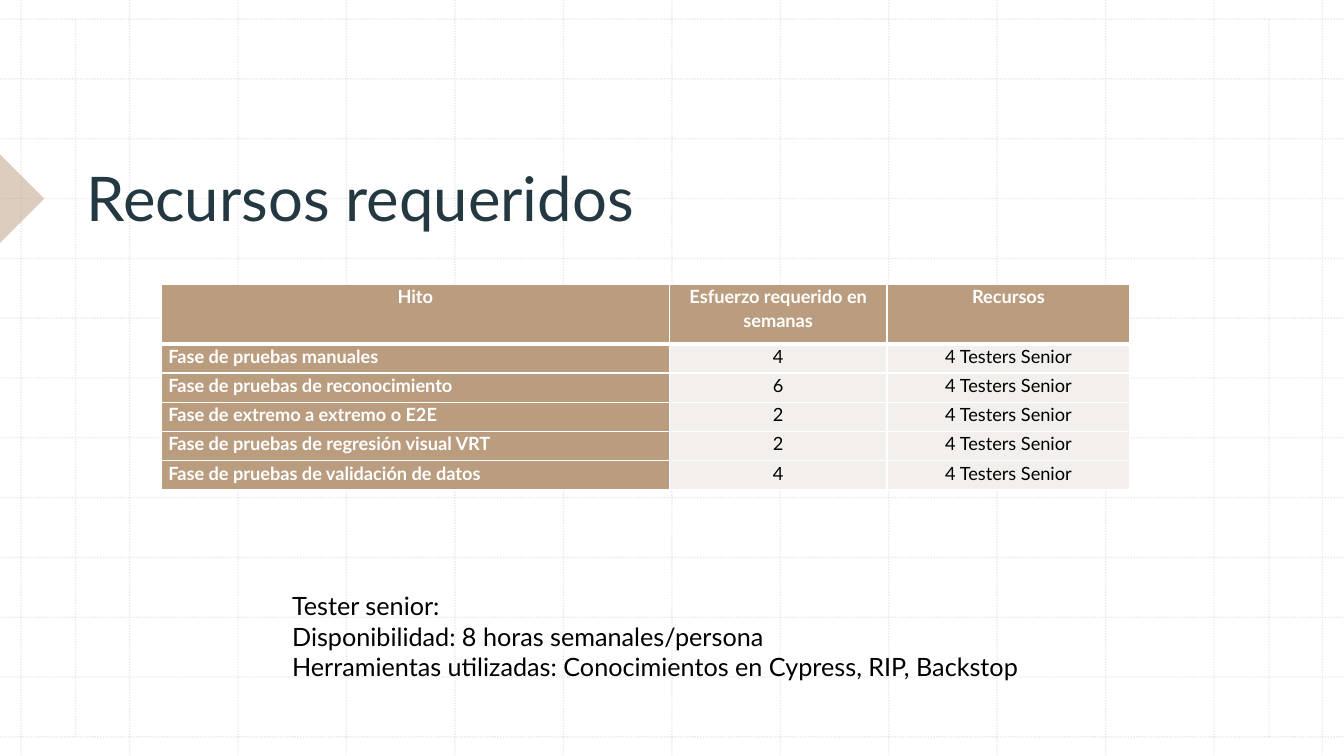
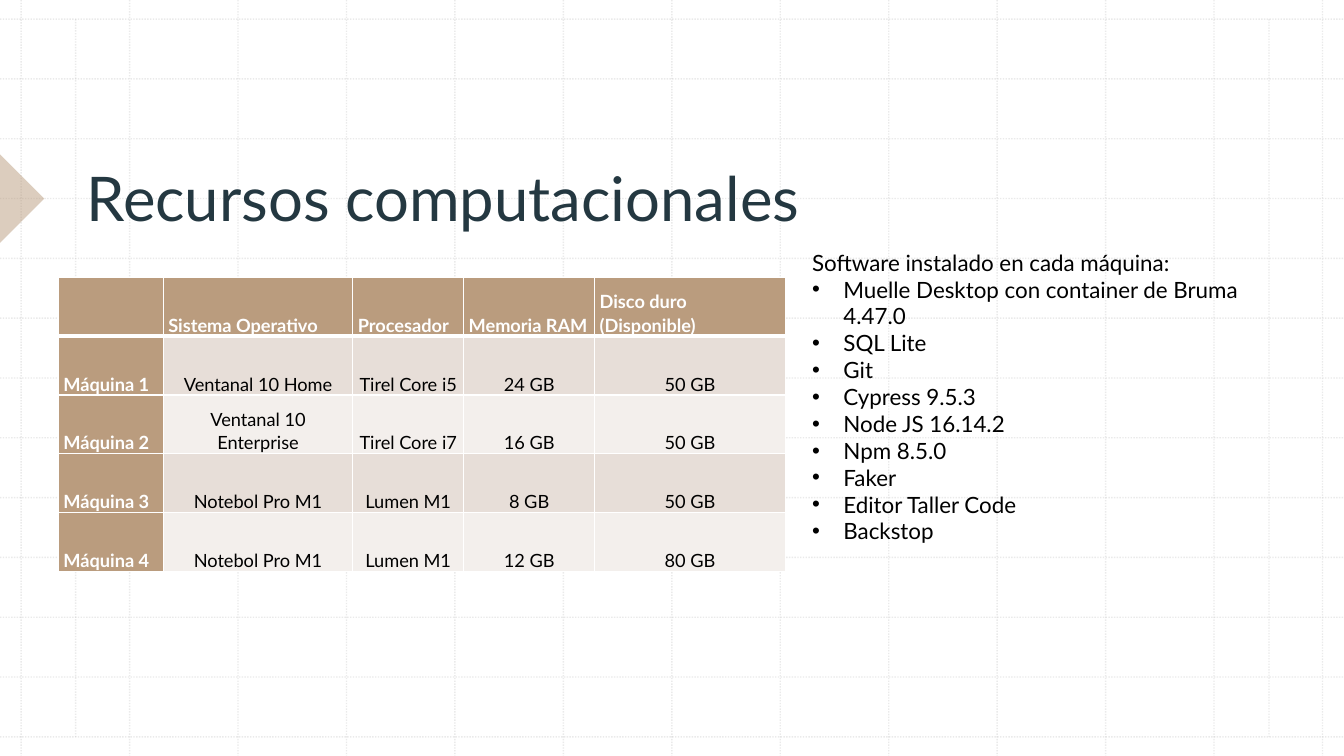
from dataclasses import dataclass

from lxml import etree
from pptx import Presentation
from pptx import slide as sld
from pptx import table as tbl
from pptx import util as u
from pptx.dml import color
from pptx.enum import dml, shapes, text
from pptx.oxml import ns
from pptx.text import text as txt


@dataclass(frozen=True)
class Theme:
    font: str = "Lato"
    ink: str = "000000"
    title: str = "243841"
    tan: str = "BA9C7E"
    sand: str = "E7DED8"
    pale: str = "F3EFEC"
    white: str = "FFFFFF"
    grid: str = "BCBCBC"
    head: float = 44
    body: float = 18
    list: float = 16
    cell: float = 13


@dataclass(frozen=True)
class Box:
    left: float
    top: float
    width: float
    height: float

    def emu(self) -> tuple[int, ...]:
        return tuple(map(u.Inches, (self.left, self.top, self.width, self.height)))


@dataclass(frozen=True)
class Rule:
    x1: float
    y1: float
    x2: float
    y2: float


@dataclass(frozen=True)
class Chart:
    box: Box
    cols: tuple[float, ...]
    rows: tuple[float, ...]
    data: tuple[tuple[str, ...], ...]
    bands: tuple[str, ...]
    pad: float
    top: text.PP_ALIGN
    anchor: text.MSO_ANCHOR


@dataclass(frozen=True)
class Note:
    box: Box
    size: float
    lines: tuple[str, ...]
    items: tuple[str, ...] = ()


@dataclass(frozen=True)
class Page:
    title: str
    chart: Chart
    note: Note


T = Theme()
WIDE, HIGH = 40 / 3, 7.5
LEFT, RIGHT, TOP, BASE = 0.21, 13.12, 0.19, 7.31
STEPS = 12


def rgb(code: str) -> color.RGBColor:
    return color.RGBColor.from_string(code)


def fade(node: etree.ElementBase, share: int) -> None:
    for tint in node.iter(ns.qn("a:srgbClr")):
        etree.SubElement(tint, ns.qn("a:alpha"), val=str(share * 1000))


def style(para: txt._Paragraph, size: float, tint: str, bold: bool = False) -> None:
    font = para.font
    font.name, font.size, font.bold = T.font, u.Pt(size), bold
    font.color.rgb = rgb(tint)


def rules() -> list[Rule]:
    xs = [LEFT + i * (RIGHT - LEFT) / STEPS for i in range(STEPS + 1)]
    ys = [TOP + i * (BASE - TOP) / STEPS for i in range(STEPS + 1)]
    return (
        [Rule(x, 0, x, HIGH) for x in xs]
        + [Rule(0, y, WIDE, y) for y in ys]
        + [Rule(x, TOP, x, BASE) for x in (0.75, 12.59)]
    )


def draw_rule(slide: sld.Slide, rule: Rule) -> None:
    ends = map(u.Inches, (rule.x1, rule.y1, rule.x2, rule.y2))
    line = slide.shapes.add_connector(shapes.MSO_CONNECTOR.STRAIGHT, *ends)
    line.line.color.rgb = rgb(T.grid)
    line.line.width = u.Pt(1)
    line.line.dash_style = dml.MSO_LINE.ROUND_DOT
    props = line._element.spPr
    fade(props, 30)
    etree.SubElement(props, ns.qn("a:effectLst"))


def draw_mark(slide: sld.Slide) -> None:
    box = Box(-0.31, 1.66, 0.62, 0.62)
    mark = slide.shapes.add_shape(shapes.MSO_SHAPE.RIGHT_TRIANGLE, *box.emu())
    mark.rotation = 225
    mark.shadow.inherit = False
    mark.fill.solid()
    mark.fill.fore_color.rgb = rgb(T.tan)
    mark.line.fill.background()
    fade(mark._element.spPr, 50)


def add_text(slide: sld.Slide, box: Box) -> txt.TextFrame:
    frame = slide.shapes.add_textbox(*box.emu()).text_frame
    frame.word_wrap = True
    return frame


def draw_title(slide: sld.Slide, title: str) -> None:
    frame = add_text(slide, Box(0.76, 0.79, 11.29, 1.58))
    frame.vertical_anchor = text.MSO_ANCHOR.BOTTOM
    frame.text = title
    style(frame.paragraphs[0], T.head, T.title)


def draw_note(slide: sld.Slide, note: Note) -> None:
    frame = add_text(slide, note.box)
    frame.text = "\n".join(note.lines + note.items)
    for i, para in enumerate(frame.paragraphs):
        if i >= len(note.lines):
            props = para._p.get_or_add_pPr()
            props.set("marL", str(u.Inches(0.31)))
            props.set("indent", str(u.Inches(-0.31)))
            etree.SubElement(props, ns.qn("a:buFont"), typeface="Arial")
            etree.SubElement(props, ns.qn("a:buChar"), char="•")
        style(para, note.size, T.ink)


def edge(cell: tbl._Cell, head: bool) -> None:
    props = cell._tc.get_or_add_tcPr()
    for i, side in enumerate("LRTB"):
        width = u.Pt(3 if head and side == "B" else 1)
        line = etree.Element(ns.qn(f"a:ln{side}"), w=str(width))
        fill = etree.SubElement(line, ns.qn("a:solidFill"))
        etree.SubElement(fill, ns.qn("a:srgbClr"), val=T.white)
        props.insert(i, line)


def draw_cell(cell: tbl._Cell, chart: Chart, r: int, c: int) -> None:
    head, label = r == 0, r == 0 or c == 0
    cell.text = chart.data[r][c]
    cell.margin_left = cell.margin_right = u.Inches(chart.pad)
    cell.margin_top = cell.margin_bottom = 0
    cell.vertical_anchor = chart.anchor
    cell.fill.solid()
    tint = T.tan if label else chart.bands[(r - 1) % len(chart.bands)]
    cell.fill.fore_color.rgb = rgb(tint)
    para = cell.text_frame.paragraphs[0]
    side = text.PP_ALIGN.LEFT if label else text.PP_ALIGN.CENTER
    para.alignment = chart.top if head else side
    para.line_spacing = 1.07
    para.space_after = u.Pt(8)
    style(para, T.cell, T.white if label else T.ink, label)
    edge(cell, head)


def draw_chart(slide: sld.Slide, chart: Chart) -> None:
    size = len(chart.rows), len(chart.cols)
    grid = slide.shapes.add_table(*size, *chart.box.emu()).table
    grid.first_row = grid.horz_banding = False
    for col, width in zip(grid.columns, chart.cols):
        col.width = u.Inches(width)
    for r, height in enumerate(chart.rows):
        grid.rows[r].height = u.Inches(height)
        for c in range(len(chart.cols)):
            draw_cell(grid.cell(r, c), chart, r, c)


def draw_page(deck: Presentation, page: Page) -> None:
    slide = deck.slides.add_slide(deck.slide_layouts[6])
    slide.background.fill.solid()
    slide.background.fill.fore_color.rgb = rgb(T.white)
    for rule in rules():
        draw_rule(slide, rule)
    draw_mark(slide)
    draw_title(slide, page.title)
    draw_chart(slide, page.chart)
    draw_note(slide, page.note)


STAFF = "4 Testers Senior"
PHASES = (
    ("Fase de pruebas manuales", "4"),
    ("Fase de pruebas de reconocimiento", "6"),
    ("Fase de extremo a extremo o E2E", "2"),
    ("Fase de pruebas de regresión visual VRT", "2"),
    ("Fase de pruebas de validación de datos", "4"),
)
PAGES = (
    Page(
        "Recursos requeridos",
        Chart(
            Box(1.6, 2.82, 9.61, 2.04),
            (5.04, 2.16, 2.41),
            (0.59,) + (0.29,) * len(PHASES),
            (("Hito", "Esfuerzo requerido en semanas", "Recursos"),)
            + tuple((*phase, STAFF) for phase in PHASES),
            (T.pale,),
            0.07,
            text.PP_ALIGN.CENTER,
            text.MSO_ANCHOR.TOP,
        ),
        Note(
            Box(2.8, 5.81, 7.73, 1.31),
            T.body,
            (
                "Tester senior:",
                "Disponibilidad: 8 horas semanales/persona",
                "Herramientas utilizadas: Conocimientos en Cypress, RIP, Backstop",
            ),
        ),
    ),
    Page(
        "Recursos computacionales",
        Chart(
            Box(0.58, 2.75, 7.21, 2.92),
            (1.04, 1.88, 1.1, 1.3, 1.89),
            (2.92 / 5,) * 5,
            (
                ("", "Sistema Operativo", "Procesador", "Memoria RAM",
                 "Disco duro (Disponible)"),
                ("Máquina 1", "Ventanal 10 Home", "Tirel Core i5", "24 GB", "50 GB"),
                ("Máquina 2", "Ventanal 10 Enterprise", "Tirel Core i7", "16 GB", "50 GB"),
                ("Máquina 3", "Notebol Pro M1", "Lumen M1", "8 GB", "50 GB"),
                ("Máquina 4", "Notebol Pro M1", "Lumen M1", "12 GB", "80 GB"),
            ),
            (T.sand, T.pale),
            0.05,
            text.PP_ALIGN.LEFT,
            text.MSO_ANCHOR.BOTTOM,
        ),
        Note(
            Box(7.96, 2.42, 4.53, 3.33),
            T.list,
            ("Software instalado en cada máquina:",),
            (
                "Muelle Desktop con container de Bruma 4.47.0",
                "SQL Lite",
                "Git",
                "Cypress 9.5.3",
                "Node JS 16.14.2",
                "Npm 8.5.0",
                "Faker",
                "Editor Taller Code",
                "Backstop",
            ),
        ),
    ),
)


def main() -> None:
    deck = Presentation()
    deck.slide_width, deck.slide_height = u.Inches(WIDE), u.Inches(HIGH)
    for page in PAGES:
        draw_page(deck, page)
    deck.save("out.pptx")


main()
